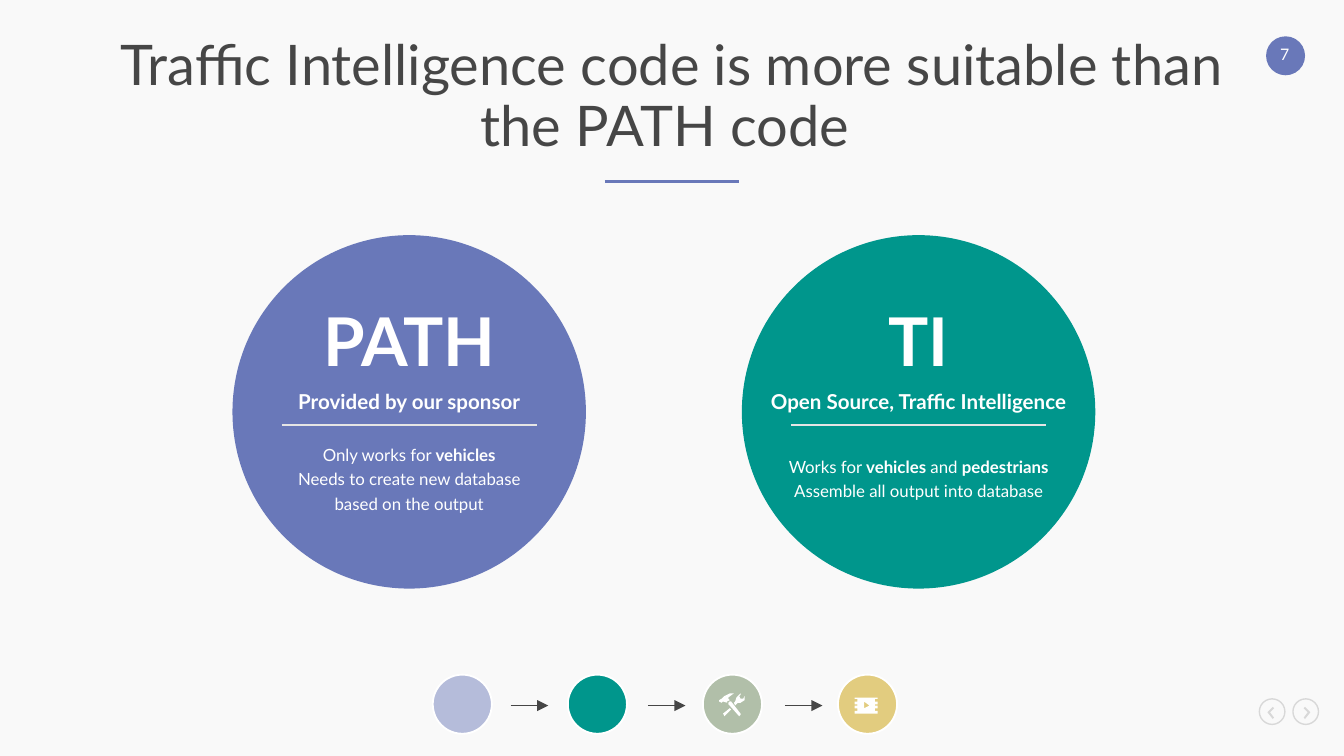
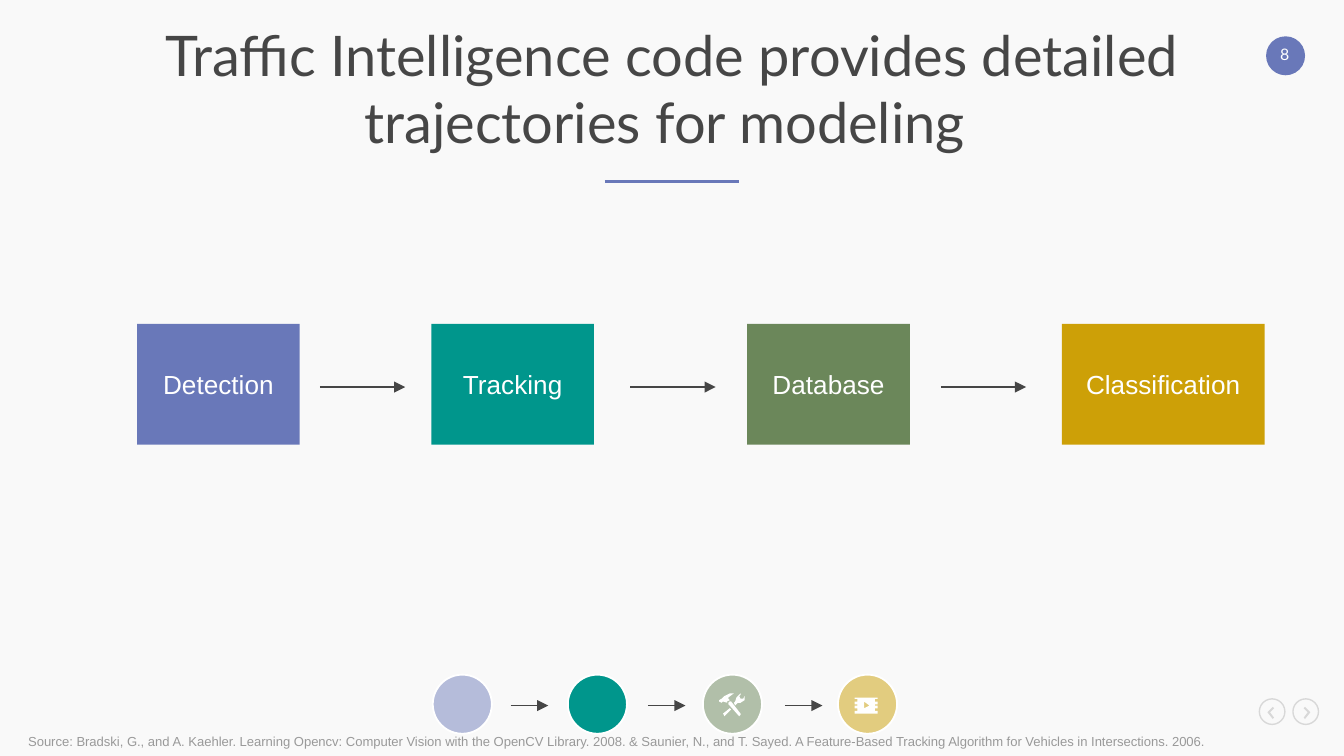
import dataclasses

import lxml.etree
import pptx
import pptx.dml.color
import pptx.enum.shapes
import pptx.enum.text
import pptx.oxml.ns
import pptx.util

ALIGN = pptx.enum.text.PP_ALIGN
ANCHOR = pptx.enum.text.MSO_ANCHOR
PRESET = pptx.enum.shapes.MSO_SHAPE
qn = pptx.oxml.ns.qn


@dataclasses.dataclass(frozen=True)
class Theme:
    background: str = "F9F9F9"
    ink: str = "464646"
    white: str = "FFFFFF"
    blue: str = "6978B9"
    teal: str = "00968C"
    green: str = "6B875A"
    gold: str = "CDA007"
    divider: str = "E5E5E5"
    navigation: str = "D8D8D8"
    citation: str = "999999"
    heading_font: str = "Lato"
    body_font: str = "Arial"
    title_size: float = 30
    name_size: float = 36
    box_size: float = 14
    subtitle_size: float = 11
    detail_size: float = 9
    page_size: float = 8.5
    citation_size: float = 7


THEME = Theme()
COLUMNS, ROWS = 100, 56.25
SLIDE_WIDTH = pptx.util.Inches(10)

HAMMER_AND_WRENCH = [
    [(3, 15), (4, 17), (9, 12), (8, 11)],
    [(19, 2), (18, 4), (16, 4), (15, 2), (16, 1), (16, 0), (13, 3), (12, 6),
     (11, 7), (12, 9), (14, 7), (16, 7), (19, 5)],
    [(9, 6), (8, 6), (7, 7), (7, 8), (15, 17), (16, 16), (16, 15)],
    [(3, 6), (6, 7), (6, 6), (8, 5), (7, 4), (7, 3), (11, 0), (8, 0), (4, 2),
     (2, 4), (0, 5), (0, 6), (2, 7)],
]
FILM_EDGE = [(0, 0), (0, 1), (2, 1), (2, 3), (0, 3), (0, 5), (2, 5), (2, 6),
             (0, 6), (0, 8), (2, 8), (2, 10), (0, 10), (0, 12)]
FILM = [FILM_EDGE + [(17 - x, y) for x, y in reversed(FILM_EDGE)],
        [(7, 3), (11, 6), (7, 8)]]
BACK = [(4, 0), (5, 1), (2, 4), (5, 8), (4, 9), (0, 4)]
FORWARD = [(5 - x, y) for x, y in BACK]


def grid(count):
    return round(SLIDE_WIDTH * count / COLUMNS)


def rgb(value):
    return pptx.dml.color.RGBColor.from_string(value)


def apply(target, values):
    for name, value in values.items():
        setattr(target, name, value)


def write(frame, paragraphs, size, color, font=THEME.heading_font,
          bold=False, align=ALIGN.CENTER, spacing=1.0, anchor=ANCHOR.TOP,
          inset=0):
    margins = dict.fromkeys(
        ("margin_left", "margin_top", "margin_right", "margin_bottom"),
        grid(inset))
    apply(frame, {"word_wrap": True, "vertical_anchor": anchor,
                  "auto_size": pptx.enum.text.MSO_AUTO_SIZE.NONE, **margins})
    for index, content in enumerate(paragraphs):
        paragraph = frame.add_paragraph() if index else frame.paragraphs[0]
        apply(paragraph, {"alignment": align, "line_spacing": spacing})
        for part, words in enumerate(content.split("*")):
            if words:
                run = paragraph.add_run()
                run.text = words
                apply(run.font, {"name": font, "size": pptx.util.Pt(size),
                                 "bold": bold or part % 2 == 1})
                run.font.color.rgb = rgb(color)


def add_label(slide, bounds, paragraphs, size, color, **style):
    label = slide.shapes.add_textbox(*map(grid, bounds))
    write(label.text_frame, paragraphs, size, color, **style)


def paint(shape, fill=None, line=None, weight=1, opacity=100):
    shape.shadow.inherit = False
    if fill:
        shape.fill.solid()
        shape.fill.fore_color.rgb = rgb(fill)
        if opacity < 100:
            color = shape._element.spPr.find(qn("a:solidFill"))[0]
            lxml.etree.SubElement(color, qn("a:alpha"), val=str(opacity * 1000))
    else:
        shape.fill.background()
    if line:
        shape.line.color.rgb = rgb(line)
        shape.line.width = pptx.util.Pt(weight)
    else:
        shape.line.fill.background()


def add_figure(slide, preset, bounds, **look):
    figure = slide.shapes.add_shape(preset, *map(grid, bounds))
    paint(figure, **look)
    return figure


def add_rule(slide, left, right, row, color, weight, arrow=False):
    rule = slide.shapes.add_connector(
        pptx.enum.shapes.MSO_CONNECTOR.STRAIGHT,
        grid(left), grid(row), grid(right), grid(row))
    rule.line.color.rgb = rgb(color)
    rule.line.width = pptx.util.Pt(weight)
    if arrow:
        lxml.etree.SubElement(rule.line._ln, qn("a:tailEnd"), type="triangle")
    lxml.etree.SubElement(rule._element.spPr, qn("a:effectLst"))


def add_icon(slide, left, top, contours, color):
    first, *others = contours
    builder = slide.shapes.build_freeform(*first[0], scale=grid(0.1))
    builder.add_line_segments(first[1:], close=True)
    for contour in others:
        builder.move_to(*contour[0])
        builder.add_line_segments(contour[1:], close=True)
    paint(builder.convert_to_shape(grid(left), grid(top)), fill=color)


def add_navigation(slide):
    for ring_left, chevron_left, chevron in ((93.7, 94.3, BACK),
                                             (96.2, 97, FORWARD)):
        add_icon(slide, chevron_left, 52.6, [chevron], THEME.navigation)
        add_figure(slide, PRESET.OVAL, (ring_left, 52, 1.9, 1.9),
                   line=THEME.navigation, weight=0.75)


def add_progress(slide):
    steps = ((THEME.blue, 47), (THEME.teal, 100),
             (THEME.green, 50), (THEME.gold, 50))
    for index, (color, opacity) in enumerate(steps):
        add_figure(slide, PRESET.OVAL, (32.2 + 10.05 * index, 50.2, 4.4, 4.4),
                   fill=color, opacity=opacity, line=THEME.white)
        if index:
            start = 27.8 + 10.2 * index
            add_rule(slide, start, start + 2.8, 52.5, THEME.ink, 0.75, True)
    add_icon(slide, 53.5, 51.6, HAMMER_AND_WRENCH, THEME.white)
    add_icon(slide, 63.6, 51.9, FILM, THEME.white)


def start_slide(deck, page, title, title_top, **title_style):
    slide = deck.slides.add_slide(deck.slide_layouts.get_by_name("Title Only"))
    heading = slide.shapes.title
    apply(heading, {"left": grid(6.5), "top": grid(title_top),
                    "width": grid(87), "height": grid(5)})
    write(heading.text_frame, [title], THEME.title_size, THEME.ink,
          anchor=ANCHOR.MIDDLE, **title_style)
    add_rule(slide, 45, 55, 13.5, THEME.blue, 1.5)
    add_figure(slide, PRESET.OVAL, (94.2, 2.7, 2.9, 2.9), fill=THEME.blue)
    add_label(slide, (94.4, 3.3, 2.4, 1.4), [page], THEME.page_size, THEME.white)
    add_navigation(slide)
    add_progress(slide)
    return slide


def add_candidate(slide, left, color, name, subtitle, details, detail_top):
    diameter = 26.3
    center = left + diameter / 2

    def centered(width, top, height):
        return center - width / 2, top, width, height

    add_figure(slide, PRESET.OVAL, (left, 17.5, diameter, diameter), fill=color)
    add_label(slide, centered(20.9, 22.3, 6.1), [name],
              THEME.name_size, THEME.white, bold=True)
    add_label(slide, centered(24.5, 28.6, 1.8), [subtitle],
              THEME.subtitle_size, THEME.white, bold=True, spacing=1.18)
    add_label(slide, centered(19.6, detail_top, 7.3), details,
              THEME.detail_size, THEME.white, spacing=1.2)
    add_rule(slide, center - 9.5, center + 9.5, 31.6, THEME.divider, 1)


def add_pipeline(slide, stages):
    for index, (name, left, width, color) in enumerate(stages):
        stage = add_figure(slide, PRESET.RECTANGLE, (left, 24.1, width, 9),
                           fill=color)
        write(stage.text_frame, [name], THEME.box_size, THEME.white,
              font=THEME.body_font, anchor=ANCHOR.MIDDLE, inset=1)
        if index:
            start = 0.7 + 23.1 * index
            add_rule(slide, start, start + 6.35, 28.8, THEME.ink, 0.75, True)


def build_comparison(deck):
    slide = start_slide(
        deck, "7",
        "Traffic Intelligence code is more suitable than the PATH code ",
        4.8, spacing=0.9)
    add_candidate(slide, 17.3, THEME.blue, "PATH", "Provided by our sponsor",
                  ["Only works for *vehicles*",
                   "Needs to create new database based on the output"], 32.8)
    add_candidate(slide, 55.2, THEME.teal, "TI",
                  "Open Source, Traffic Intelligence",
                  ["Works for *vehicles* and *pedestrians*",
                   "Assemble all output into database"], 33.7)


def build_process(deck):
    slide = start_slide(
        deck, "8",
        "Traffic Intelligence code provides detailed trajectories for modeling ",
        4, inset=1)
    add_label(
        slide, (2.1, 54, 95.7, 2.2),
        ["Source: Bradski, G., and A. Kaehler. Learning Opencv: Computer Vision "
         "with the OpenCV Library. 2008. & Saunier, N., and T. Sayed. A "
         "Feature-Based Tracking Algorithm for Vehicles in Intersections. 2006."],
        THEME.citation_size, THEME.citation, font=THEME.body_font,
        align=ALIGN.JUSTIFY, spacing=1.15, anchor=ANCHOR.MIDDLE)
    add_pipeline(slide, (("Detection", 10.2, 12.1, THEME.blue),
                         ("Tracking", 32.1, 12.1, THEME.teal),
                         ("Database", 55.6, 12.1, THEME.green),
                         ("Classification", 79, 15.1, THEME.gold)))


def main():
    deck = pptx.Presentation()
    apply(deck, {"slide_width": SLIDE_WIDTH, "slide_height": grid(ROWS)})
    backdrop = deck.slide_master.background.fill
    backdrop.solid()
    backdrop.fore_color.rgb = rgb(THEME.background)
    build_comparison(deck)
    build_process(deck)
    deck.save("out.pptx")


if __name__ == "__main__":
    main()
